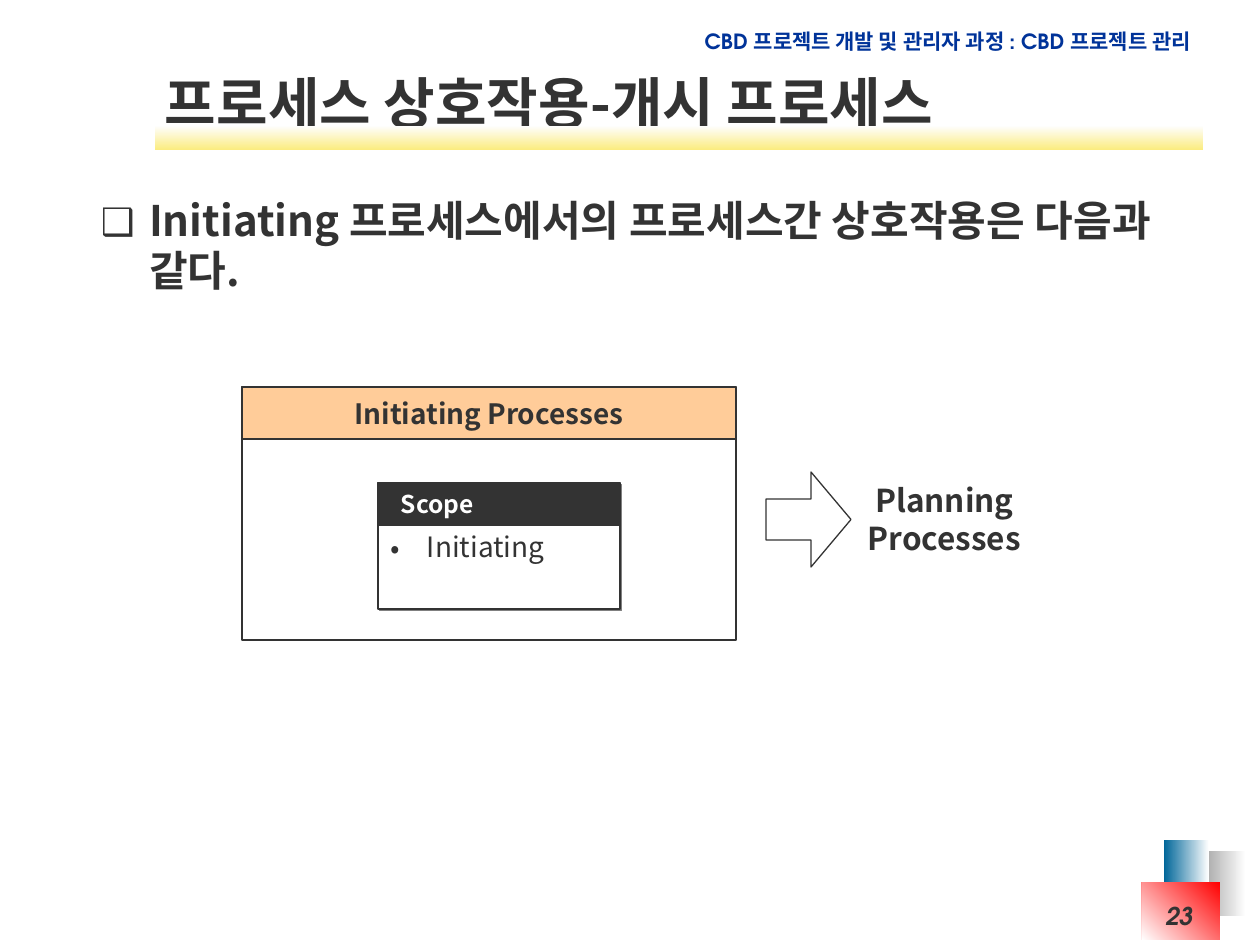
import pptx
import pptx.util
import pptx.oxml
from pptx.dml.color import RGBColor
from pptx.enum.shapes import MSO_SHAPE
from pptx.enum.text import MSO_ANCHOR, MSO_AUTO_SIZE, PP_ALIGN
from pptx.oxml.ns import qn

PX = 914400 / 126
SANS, GOTHIC = "Noto Sans CJK KR", "TeX Gyre Adventor"
INK = RGBColor(0x33, 0x33, 0x33)
NAVY = RGBColor(0x00, 0x33, 0x99)
WHITE = RGBColor(0xFF, 0xFF, 0xFF)
OFF_WHITE = RGBColor(0xFE, 0xFE, 0xFE)
YELLOW = RGBColor(0xFB, 0xEC, 0x7F)
PEACH = RGBColor(0xFF, 0xCC, 0x99)
GREY = RGBColor(0x96, 0x96, 0x96)
TEAL = RGBColor(0x00, 0x66, 0x99)
RED = RGBColor(0xFF, 0x00, 0x00)
A_NS = "http://schemas.openxmlformats.org/drawingml/2006/main"


def px(value):
    return pptx.util.Emu(round(value * PX))


def add_xml(parent, xml):
    tag, _, rest = xml.partition(" ")
    parent.append(pptx.oxml.parse_xml(f'<a:{tag} xmlns:a="{A_NS}" {rest}'))


def place(shape, box):
    shape.left, shape.top, shape.width, shape.height = map(px, box)


def write(shape, text, size=16, font=SANS, color=INK, bold=True, italic=False,
          align=PP_ALIGN.LEFT, anchor=MSO_ANCHOR.MIDDLE, wrap=True,
          bullet=None, bullet_size=100, indent=0, inset=13, before=0):
    """Fill a shape with paragraphs, one for each line of text."""
    frame = shape.text_frame
    frame.text = text
    frame.auto_size = MSO_AUTO_SIZE.NONE
    frame.word_wrap, frame.vertical_anchor = wrap, anchor
    frame.margin_left, frame.margin_right = px(inset), px(13)
    frame.margin_top = frame.margin_bottom = px(6)
    for para in frame.paragraphs:
        para.alignment = align
        para.space_before = pptx.util.Pt(before)
        if bullet:
            props = para._p.get_or_add_pPr()
            props.set("marL", str(px(indent)))
            props.set("indent", str(px(-indent)))
            add_xml(props, f'buClr ><a:srgbClr val="{INK}"/></a:buClr>')
            add_xml(props, f'buSzPct val="{bullet_size * 1000}"/>')
            add_xml(props, f'buFont typeface="{SANS}"/>')
            add_xml(props, f'buChar char="{bullet}"/>')
        for span in para.runs:
            span.font.size, span.font.name = pptx.util.Pt(size), font
            span.font.bold, span.font.italic = bold, italic
            span.font.color.rgb = color
            add_xml(span._r.get_or_add_rPr(), f'ea typeface="{SANS}"/>')


def add_text(page, box, text, **style):
    shape = page.shapes.add_textbox(*map(px, box))
    write(shape, text, **style)


def add_block(page, box, fill=None, line=INK, kind=MSO_SHAPE.RECTANGLE):
    shape = page.shapes.add_shape(kind, *map(px, box))
    shape.shadow.inherit = False
    if fill is None:
        shape.fill.background()
    else:
        shape.fill.solid()
        shape.fill.fore_color.rgb = fill
    if line is None:
        shape.line.fill.background()
    else:
        shape.line.color.rgb = line
        shape.line.width = pptx.util.Pt(0.75)
    return shape


def add_gradient(page, box, start, end, clockwise):
    shape = add_block(page, box, line=None)
    shape.fill.gradient()
    shape.fill.gradient_angle = 360 - clockwise
    for stop, color in zip(shape.fill.gradient_stops, (start, end)):
        stop.color.rgb = color


def add_heading(page, box):
    """Course name, yellow underline and title."""
    left, top, width, height = box
    add_gradient(page, (left + 3, top + 62, width, 24), OFF_WHITE, YELLOW, 90)
    add_text(page, (left + 528, top - 41, 524, 38),
             "CBD 프로젝트 개발 및 관리자 과정 : CBD 프로젝트 관리", size=12,
             font=GOTHIC, color=NAVY, align=PP_ALIGN.RIGHT, anchor=MSO_ANCHOR.TOP)
    place(page.shapes.title, box)
    write(page.shapes.title, "프로세스 상호작용-개시 프로세스", size=32)


def add_body(page, box):
    body = page.placeholders[1]
    place(body, box)
    write(body, "Initiating 프로세스에서의 프로세스간 상호작용은 다음과 같다.", size=24,
          anchor=MSO_ANCHOR.TOP, bullet="❑", bullet_size=90, indent=48, before=6)


def add_scope_card(page, box):
    left, top, width, height = box
    card = add_block(page, box, WHITE)
    effects = card._element.spPr.find(qn("a:effectLst"))
    add_xml(effects, 'outerShdw dist="17780" dir="2700000" algn="ctr" rotWithShape="0">'
                     '<a:srgbClr val="808080"/></a:outerShdw>')
    write(card, "Initiating", bold=False, bullet="•", indent=36)
    header = add_block(page, (left, top, width, 42), INK)
    write(header, "Scope", size=14, color=WHITE, inset=23)


def add_process_diagram(page, box):
    """Process group with its scope card, then an arrow to the next group."""
    left, top, width, height = box
    add_block(page, box)
    header = add_block(page, (left, top, width, 52), PEACH)
    write(header, "Initiating Processes", align=PP_ALIGN.CENTER)
    add_scope_card(page, (left + 136, top + 96, 242, 126))
    arrow = add_block(page, (left + width + 30, top + 85, 85, 95),
                      kind=MSO_SHAPE.RIGHT_ARROW)
    arrow.adjustments[0], arrow.adjustments[1] = 0.43, 0.47
    add_text(page, (left + width + 119, top + 88, 179, 88), "Planning\nProcesses",
             size=18, align=PP_ALIGN.CENTER, anchor=MSO_ANCHOR.TOP, wrap=False)


def add_page_number(page, box):
    """Three overlapping gradient tiles with the page number."""
    left, top, width, height = box
    add_gradient(page, (left + 54, top + 11, 50, 65), WHITE, GREY, 180)
    add_gradient(page, (left + 22, top, 45, 65), WHITE, TEAL, 180)
    add_gradient(page, (left, top + 42, 78, 58), RED, WHITE, 135)
    add_text(page, (left - 91, top + 55, 155, 50), "23", size=14, font=GOTHIC,
             italic=True, align=PP_ALIGN.RIGHT, anchor=MSO_ANCHOR.TOP)


def main():
    deck = pptx.Presentation()
    deck.slide_width, deck.slide_height = px(1260), px(945)
    page = deck.slides.add_slide(deck.slide_layouts[1])
    add_page_number(page, (1142, 840, 104, 100))
    add_heading(page, (152, 64, 1048, 77))
    add_body(page, (88, 188, 1115, 694))
    add_process_diagram(page, (242, 387, 494, 253))
    deck.save("out.pptx")


if __name__ == "__main__":
    main()
